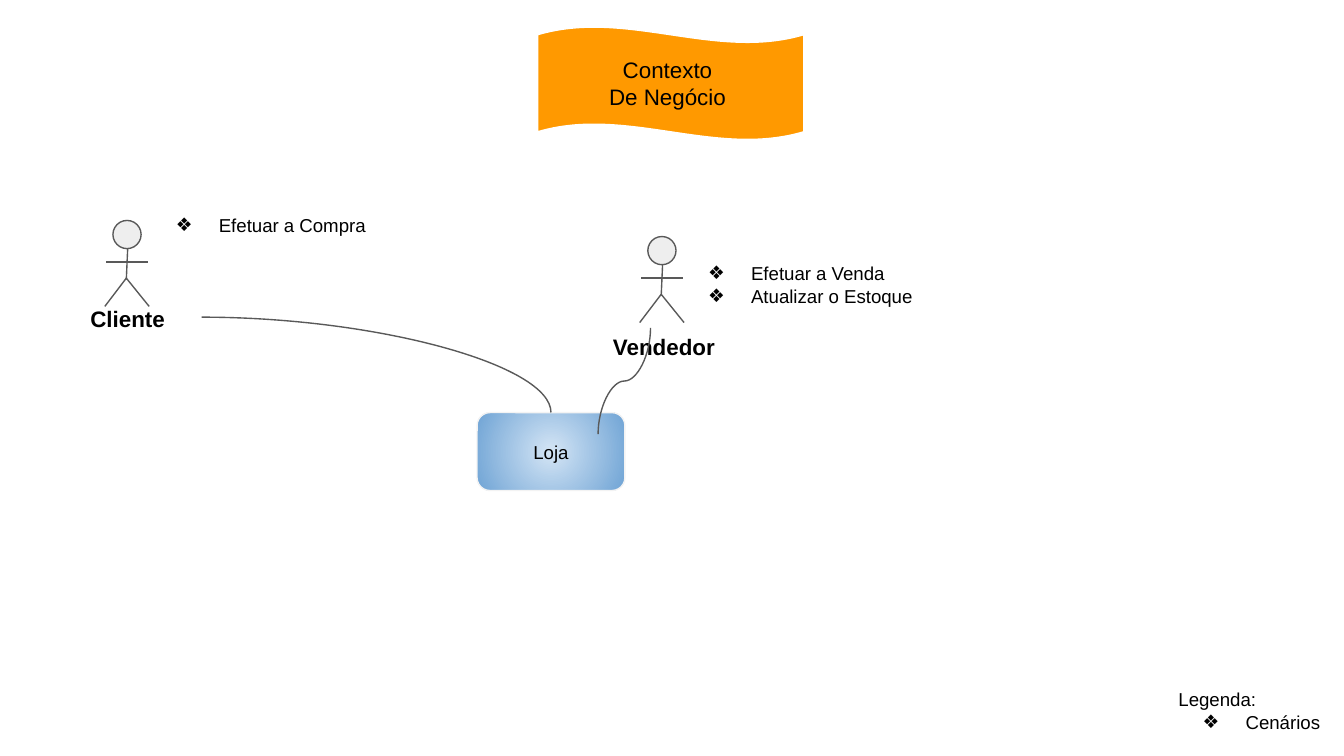
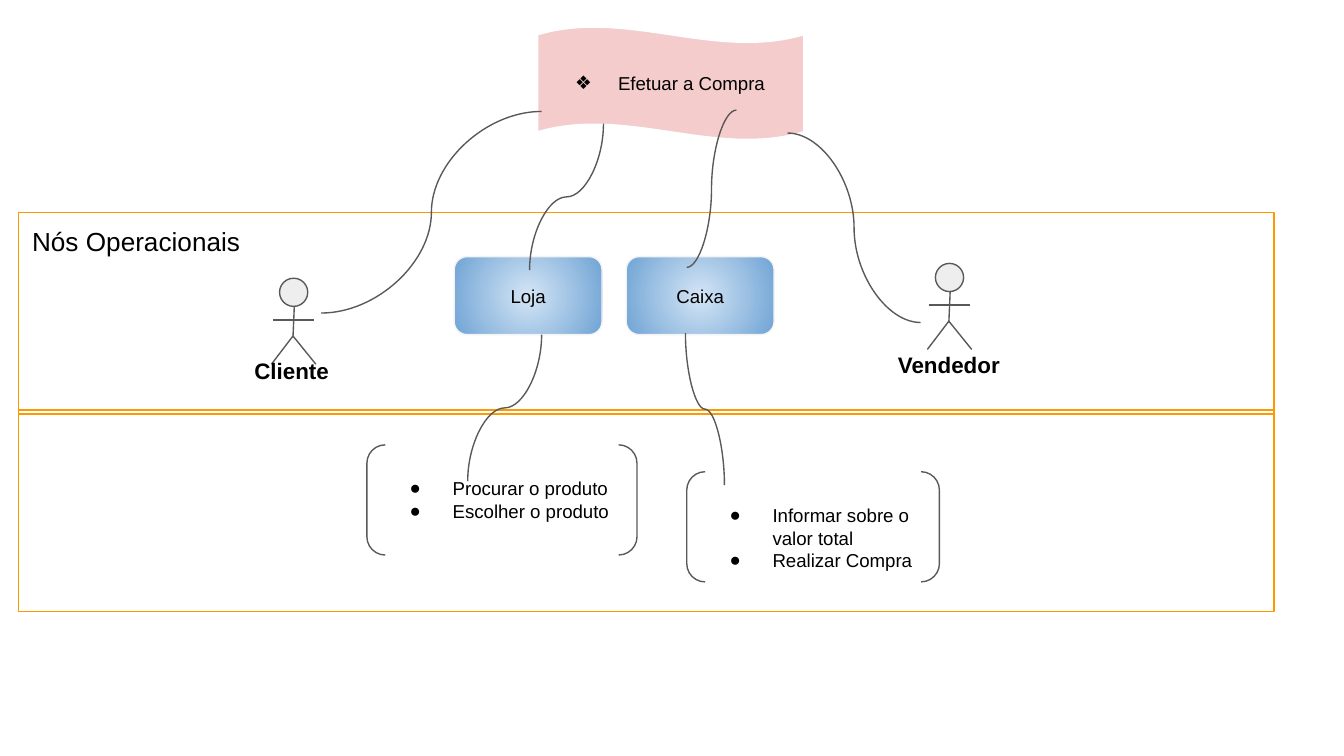
from lxml import etree
from pptx import Presentation
from pptx.dml.color import RGBColor
from pptx.enum.shapes import MSO_CONNECTOR, MSO_SHAPE
from pptx.enum.text import MSO_ANCHOR, PP_ALIGN
from pptx.oxml.ns import qn
from pptx.util import Pt

PX = 9144
PAGE_WIDTH = 1000
PAGE_HEIGHT = PAGE_WIDTH * 9 / 16
FONT = "Arial"
INSET = 10
HANG = 32
INDENT = 50
BLACK = RGBColor(0x00, 0x00, 0x00)
WHITE = RGBColor(0xFF, 0xFF, 0xFF)
ORANGE = RGBColor(0xFF, 0x99, 0x00)
PINK = RGBColor(0xF4, 0xCC, 0xCC)
GREY = RGBColor(0x59, 0x59, 0x59)
PALE_GREY = RGBColor(0xEE, 0xEE, 0xEE)
NODE_EDGE = RGBColor(0xF3, 0xF3, 0xF3)
NODE_GRADIENT = (RGBColor(0xD4, 0xE5, 0xF5), RGBColor(0x70, 0xA4, 0xD5))
STRAIGHT, CURVE = MSO_CONNECTOR.STRAIGHT, MSO_CONNECTOR.CURVE
TOP, MIDDLE = MSO_ANCHOR.TOP, MSO_ANCHOR.MIDDLE
LEFT, CENTER = PP_ALIGN.LEFT, PP_ALIGN.CENTER
WAVE, RECTANGLE, ROUNDED = MSO_SHAPE.WAVE, MSO_SHAPE.RECTANGLE, MSO_SHAPE.ROUNDED_RECTANGLE
BRACKETS, HEAD = MSO_SHAPE.DOUBLE_BRACKET, MSO_SHAPE.FLOWCHART_CONNECTOR

DIAMOND, DOT = "❖", "●"
BANNER_AREA = (400, 20, 198, 84)
NODE_SIZE = (110, 58)
LABEL_SIZE = (112, 38)
HEAD_SIZE = 21
LIMBS = [
    ((11, 21), (10, 44)),
    ((-5, 31), (26, 31)),
    ((10, 43), (-6, 64)),
    ((27, 64), (10, 43)),
]

BODY = {"size": Pt(10), "bold": False}
BANNER = {"size": Pt(12), "bold": False}
LABEL = {"size": Pt(12), "bold": True}
HEADING = {"size": Pt(14), "bold": False}

SLIDES = [
    {
        "banner": (ORANGE, [("", "Contexto "), ("", "De Negócio ")], BANNER, CENTER),
        "bands": [],
        "nodes": [("Loja", 355, 307)],
        "actors": [
            ("Cliente", (84, 164), (39, 217)),
            ("Vendedor", (482, 176), (438, 238)),
        ],
        "notes": [
            ((103, 151, 332, 101), [(DIAMOND, "Efetuar a Compra")]),
            ((499, 185, 332, 101), [(DIAMOND, "Efetuar a Venda"), (DIAMOND, "Atualizar o Estoque")]),
            ((867, 502, 127, 52), [("", "Legenda:"), (DIAMOND, "Cenários")]),
        ],
        "brackets": [],
        "curves": [
            ("corner", (150, 236), (410, 307)),
            ("vertical", (484, 244), (445, 323)),
        ],
    },
    {
        "banner": (PINK, [(DIAMOND, "Efetuar a Compra")], BODY, LEFT),
        "bands": [
            ((14, 158, 934, 150), [("", "Nós Operacionais")]),
            ((14, 305, 934, 150), []),
        ],
        "nodes": [("Caixa", 466, 191), ("Loja", 338, 191)],
        "actors": [
            ("Cliente", (208, 207), (161, 256)),
            ("Vendedor", (696, 196), (650, 251)),
        ],
        "notes": [],
        "brackets": [
            ((511, 351, 188, 82), [(DOT, "Informar sobre o valor total"), (DOT, "Realizar Compra")]),
            ((273, 331, 201, 82), [(DOT, "Procurar o produto"), (DOT, "Escolher o produto")]),
        ],
        "curves": [
            ("vertical", (539, 361), (510, 248)),
            ("horizontal", (239, 233), (403, 83)),
            ("horizontal", (511, 199), (548, 82)),
            ("horizontal", (685, 240), (586, 99)),
            ("vertical", (394, 201), (449, 92)),
            ("vertical", (348, 358), (403, 249)),
        ],
    },
]


def emu(*lengths):
    return [round(length * PX) for length in lengths]


def set_format(target, values):
    for name, value in values.items():
        setattr(target, name, value)


def add_bullet(para, mark):
    properties = para._p.get_or_add_pPr()
    margin, indent = emu(INDENT, -HANG)
    properties.set("marL", str(margin))
    properties.set("indent", str(indent))
    color = etree.SubElement(properties, qn("a:buClr"))
    etree.SubElement(color, qn("a:srgbClr"), val=str(BLACK))
    etree.SubElement(properties, qn("a:buSzPts"), val="1000")
    etree.SubElement(properties, qn("a:buFont"), typeface=FONT)
    etree.SubElement(properties, qn("a:buChar"), char=mark)


def write(box, lines, style, align=LEFT, anchor=TOP, top=INSET, bottom=INSET):
    frame = box.text_frame
    left, upper, lower = emu(INSET, top, bottom)
    set_format(frame, {
        "word_wrap": True, "vertical_anchor": anchor,
        "margin_left": left, "margin_right": left,
        "margin_top": upper, "margin_bottom": lower,
    })
    for index, (mark, text) in enumerate(lines):
        para = frame.add_paragraph() if index else frame.paragraphs[0]
        para.alignment = align
        if mark:
            add_bullet(para, mark)
        span = para.add_run()
        span.text = text
        set_format(span.font, {"name": FONT, **style})
        span.font.color.rgb = BLACK


def draw_line(shape, color):
    shape.line.color.rgb = color
    shape.line.width = Pt(0.75)


def add_box(shapes, kind, area, fill, edge):
    box = shapes.add_shape(kind, *emu(*area))
    box.shadow.inherit = False
    if fill is None:
        box.fill.background()
    else:
        box.fill.solid()
        box.fill.fore_color.rgb = fill
    draw_line(box, edge)
    return box


def add_line(shapes, kind, start, end):
    line = shapes.add_connector(kind, *emu(*start, *end))
    draw_line(line, GREY)
    etree.SubElement(line._element.spPr, qn("a:effectLst"))
    return line


def add_curve(page, route, start, end):
    if route != "vertical":
        curve = add_line(page.shapes, CURVE, start, end)
        if route == "corner":
            curve._element.spPr.find(qn("a:prstGeom")).set("prst", "curvedConnector2")
        return
    (x1, y1), (x2, y2) = start, end
    middle_x, middle_y = (x1 + x2) / 2, (y1 + y2) / 2
    mirrored = (x2 - x1) * (y2 - y1) > 0
    half_run = abs(y2 - y1) / 2
    half_rise = abs(x2 - x1) / 2 * (-1 if mirrored else 1)
    curve = add_line(page.shapes, CURVE,
                     (middle_x - half_run, middle_y - half_rise),
                     (middle_x + half_run, middle_y + half_rise))
    degrees = 270 if mirrored else 90
    curve._element.spPr.find(qn("a:xfrm")).set("rot", str(degrees * 60000))


def add_node(page, name, left, top):
    node = add_box(page.shapes, ROUNDED, (left, top, *NODE_SIZE), WHITE, NODE_EDGE)
    node.fill.gradient()
    for stop, color in zip(node.fill.gradient_stops, NODE_GRADIENT):
        stop.color.rgb = color
    gradient = node._element.spPr.find(qn("a:gradFill"))
    gradient.remove(gradient.find(qn("a:lin")))
    shade = etree.SubElement(gradient, qn("a:path"), path="circle")
    etree.SubElement(shade, qn("a:fillToRect"), l="50000", t="50000", r="50000", b="50000")
    write(node, [("", name)], BODY, CENTER, MIDDLE)


def add_text(page, area, lines, style, align=LEFT):
    write(page.shapes.add_textbox(*emu(*area)), lines, style, align)


def add_actor(page, name, head, label):
    figure = page.shapes.add_group_shape().shapes
    add_box(figure, HEAD, (*head, HEAD_SIZE, HEAD_SIZE), PALE_GREY, GREY)
    left, top = head
    for limb in LIMBS:
        start, end = [(left + x, top + y) for x, y in limb]
        add_line(figure, STRAIGHT, start, end)
    add_text(page, (*label, *LABEL_SIZE), [("", name)], LABEL, CENTER)


def add_banner(page, color, lines, style, align):
    banner = add_box(page.shapes, WAVE, BANNER_AREA, color, WHITE)
    banner.adjustments[0] = 0.07
    write(banner, lines, style, align, MIDDLE)


def build_slide(deck, content):
    page = deck.slides.add_slide(deck.slide_layouts[6])
    for area, lines in content["bands"]:
        write(add_box(page.shapes, RECTANGLE, area, None, ORANGE), lines, HEADING)
    add_banner(page, *content["banner"])
    for node in content["nodes"]:
        add_node(page, *node)
    for actor in content["actors"]:
        add_actor(page, *actor)
    for area, lines in content["notes"]:
        add_text(page, area, lines, BODY)
    for area, lines in content["brackets"]:
        box = add_box(page.shapes, BRACKETS, area, None, GREY)
        write(box, lines, BODY, top=20, bottom=0)
    for curve in content["curves"]:
        add_curve(page, *curve)


def main():
    deck = Presentation()
    deck.slide_width, deck.slide_height = emu(PAGE_WIDTH, PAGE_HEIGHT)
    for content in SLIDES:
        build_slide(deck, content)
    deck.save("out.pptx")


if __name__ == "__main__":
    main()
